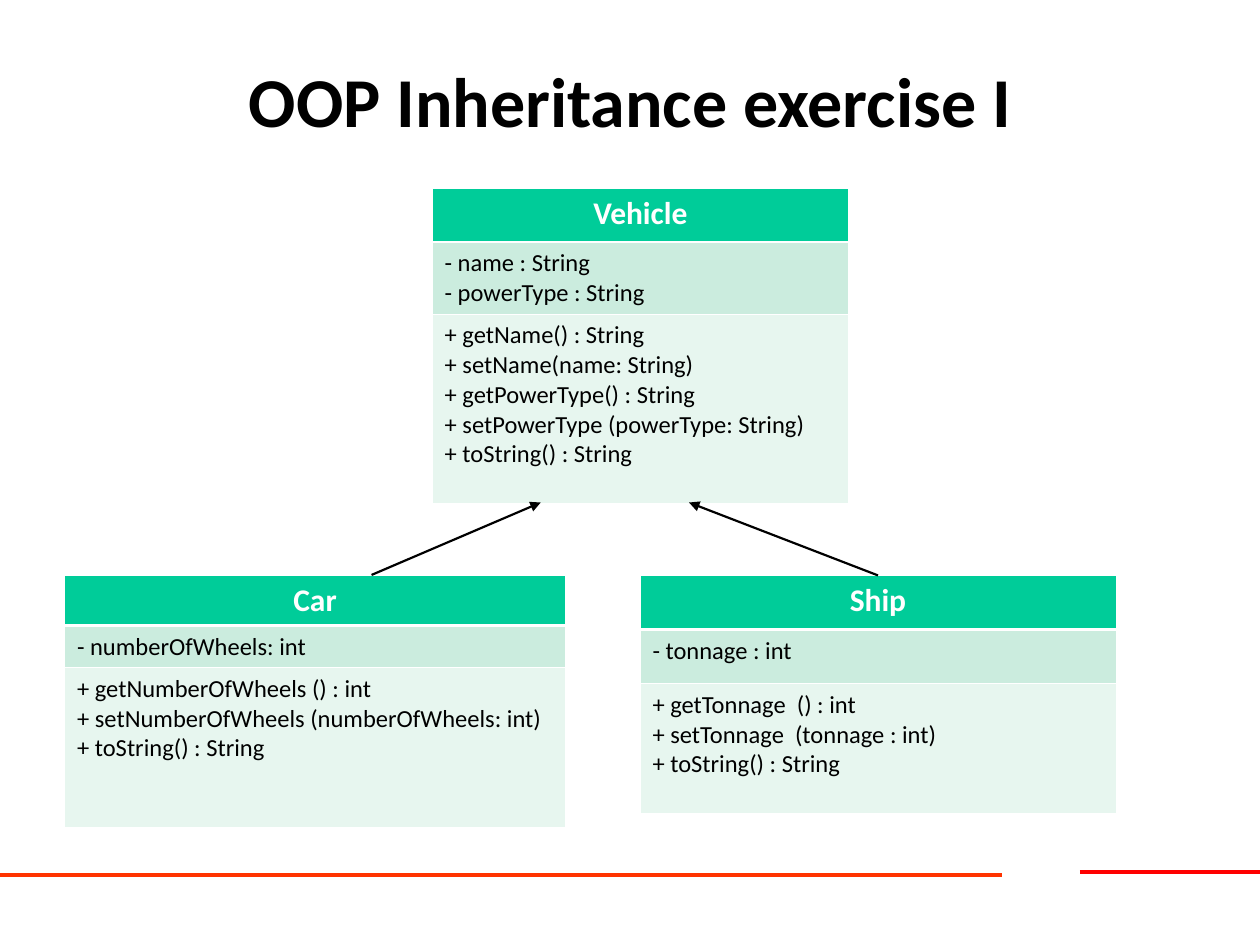
from lxml.etree import SubElement
from pptx import Presentation
from pptx.dml.color import RGBColor
from pptx.enum.shapes import MSO_CONNECTOR as Connector
from pptx.enum.text import MSO_ANCHOR as Anchor, PP_ALIGN as Align
from pptx.oxml.ns import qn
from pptx.util import Cm, Pt

COLORS = {
    "accent": "FF3300",
    "red": "FF0000",
    "black": "000000",
    "white": "FFFFFF",
    "header": "00CC99",
    "attributes": "CBECDE",
    "methods": "E7F6EF",
}
FONT = "Calibri"
THIN, THICK = 0.45, 1.47

CLASSES = [
    (
        (8.71, 3.79, 8.4), (1.09, 1.45, 3.81), "Vehicle",
        ["- name : String", "- powerType : String"],
        [
            "+ getName() : String",
            "+ setName(name: String)",
            "+ getPowerType() : String",
            "+ setPowerType (powerType: String)",
            "+ toString() : String",
        ],
    ),
    (
        (1.3, 11.59, 10.1), (1.02, 0.84, 3.22), "Car",
        ["- numberOfWheels: int"],
        [
            "+ getNumberOfWheels () : int",
            "+ setNumberOfWheels (numberOfWheels: int)",
            "+ toString() : String",
        ],
    ),
    (
        (12.9, 11.6, 9.6), (1.09, 1.09, 2.62), "Ship",
        ["- tonnage : int"],
        [
            "+ getTonnage  () : int",
            "+ setTonnage  (tonnage : int)",
            "+ toString() : String",
        ],
    ),
]


def color(name):
    return RGBColor.from_string(COLORS[name])


def write_lines(text_frame, lines, size, color_name, bold, alignment):
    for index, line in enumerate(lines):
        paragraph = text_frame.add_paragraph() if index else text_frame.paragraphs[0]
        paragraph.alignment = alignment
        run = paragraph.add_run()
        run.text = line
        run.font.name = FONT
        run.font.size = Pt(size)
        run.font.bold = bold
        run.font.color.rgb = color(color_name)


def add_title(slide, text):
    shape = slide.shapes.add_textbox(Cm(1.9), Cm(0.91), Cm(21.6), Cm(2.21))
    text_frame = shape.text_frame
    text_frame.word_wrap = True
    text_frame.vertical_anchor = Anchor.MIDDLE
    write_lines(text_frame, [text], 40, "black", True, Align.CENTER)


def add_line(slide, start, end, color_name, width, arrow=False):
    points = [Cm(value) for value in (*start, *end)]
    connector = slide.shapes.add_connector(Connector.STRAIGHT, *points)
    connector.line.color.rgb = color(color_name)
    connector.line.width = Pt(width)
    if arrow:
        SubElement(connector.line._get_or_add_ln(), qn("a:tailEnd"), type="triangle")
    SubElement(connector._element.spPr, qn("a:effectLst"))


def style_cell(cell, fill_name, top, bottom):
    properties = cell._tc.get_or_add_tcPr()
    for side, width in (("L", THIN), ("R", THIN), ("T", top), ("B", bottom)):
        border = SubElement(properties, qn(f"a:ln{side}"), w=str(Pt(width)))
        fill = SubElement(border, qn("a:solidFill"))
        SubElement(fill, qn("a:srgbClr"), val=COLORS["white"])
    cell.fill.solid()
    cell.fill.fore_color.rgb = color(fill_name)


def add_class(slide, position, heights, name, attributes, methods):
    left, top, width = position
    table = slide.shapes.add_table(
        3, 1, Cm(left), Cm(top), Cm(width), Cm(sum(heights))
    ).table
    for row, height in zip(table.rows, heights):
        row.height = Cm(height)
    header, fields, operations = (table.cell(row, 0) for row in range(3))
    style_cell(header, "header", THIN, THICK)
    style_cell(fields, "attributes", THICK, THIN)
    style_cell(operations, "methods", THIN, THIN)
    write_lines(header.text_frame, [name], 18, "white", True, Align.CENTER)
    write_lines(fields.text_frame, attributes, 14, "black", False, Align.LEFT)
    write_lines(operations.text_frame, methods, 14, "black", False, Align.LEFT)


def main():
    presentation = Presentation()
    presentation.slide_width = Cm(25.4)
    presentation.slide_height = Cm(19.05)
    slide = presentation.slides.add_slide(presentation.slide_layouts[6])
    add_line(slide, (21.77, 17.58), (25.4, 17.58), "red", 2.25)
    add_line(slide, (0, 17.63), (20.2, 17.63), "accent", 2.25)
    add_title(slide, "OOP Inheritance exercise I")
    for uml_class in CLASSES:
        add_class(slide, *uml_class)
    add_line(slide, (7.49, 11.59), (10.9, 10.13), "black", 1.25, arrow=True)
    add_line(slide, (17.7, 11.6), (13.89, 10.13), "black", 1.25, arrow=True)
    presentation.save("out.pptx")


if __name__ == "__main__":
    main()
